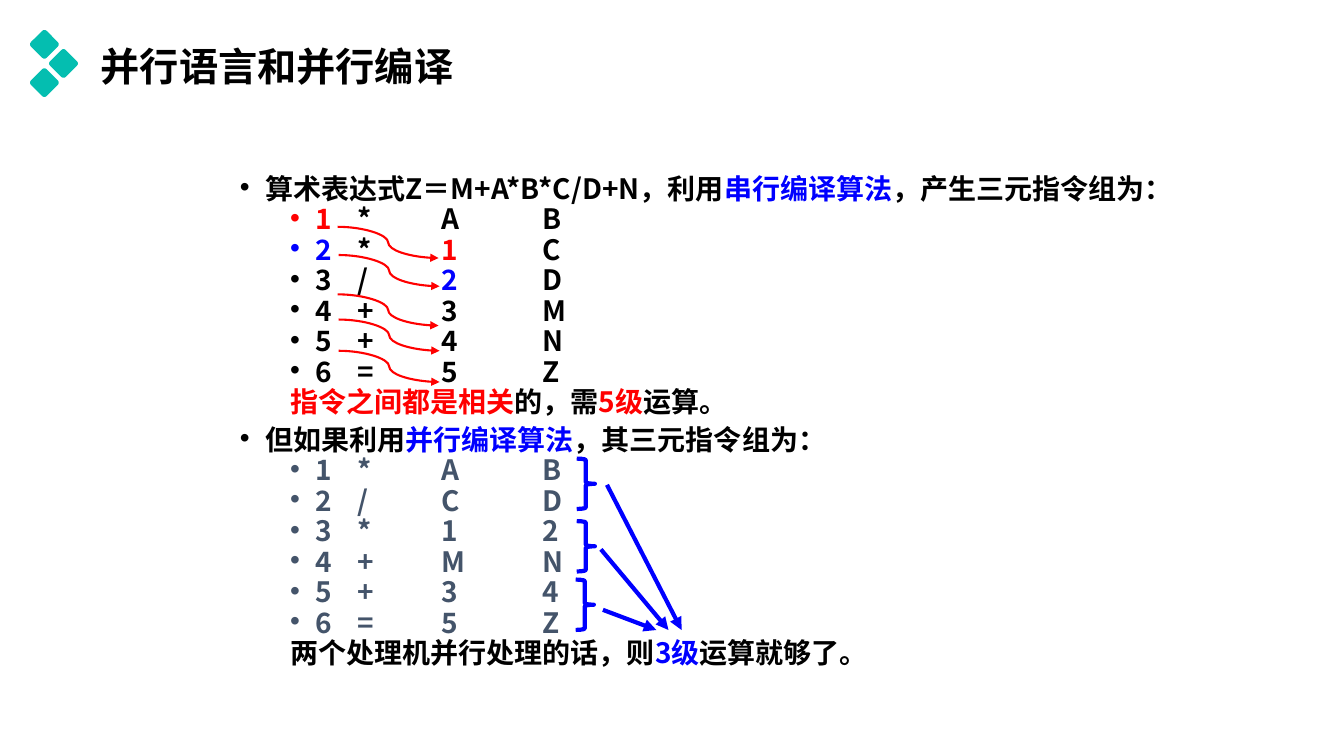
from lxml import etree
from pptx import Presentation
from pptx.dml.color import RGBColor
from pptx.enum.shapes import MSO_CONNECTOR, MSO_SHAPE
from pptx.enum.text import MSO_ANCHOR, MSO_AUTO_SIZE, PP_ALIGN
from pptx.oxml.ns import qn
from pptx.util import Inches, Pt

CURVE, STRAIGHT = MSO_CONNECTOR.CURVE, MSO_CONNECTOR.STRAIGHT
BRACE, ROUNDED = MSO_SHAPE.RIGHT_BRACE, MSO_SHAPE.ROUNDED_RECTANGLE
MIDDLE, LEFT = MSO_ANCHOR.MIDDLE, PP_ALIGN.LEFT
NO_AUTOFIT = MSO_AUTO_SIZE.NONE

BLACK = RGBColor(0x00, 0x00, 0x00)
RED = RGBColor(0xFF, 0x00, 0x00)
BLUE = RGBColor(0x00, 0x00, 0xFF)
SLATE = RGBColor(0x44, 0x54, 0x6A)
TEAL = RGBColor(0x04, 0xBE, 0xB0)
FONT = "Noto Sans CJK SC"

COLUMN_TABS = (1.17, 2, 3)  # operator, first operand, second operand
LINE_SPACING = 0.7
HEADING_GAP, ROW_GAP = 10, 5

# Each instruction: number, operator and two operands; pairs carry a colour
SERIAL_ROWS = [
    [("1", RED), "*", "A", "B"],
    [("2", BLUE), "*", ("1", RED), "C"],
    ["3", "/", ("2", BLUE), "D"],
    ["4", "+", "3", "M"],
    ["5", "+", "4", "N"],
    ["6", "=", "5", "Z"],
]
PARALLEL_ROWS = ["1*AB", "2/CD", "3*12", "4+MN", "5+34", "6=5Z"]


def add_run(paragraph, text, color, size=20):
    run = paragraph.add_run()
    run.text = text
    run.font.name = FONT
    run.font.size = Pt(size)
    run.font.bold = True
    run.font.color.rgb = color
    east_asian = etree.SubElement(run.font._element, qn("a:ea"))
    east_asian.set("typeface", FONT)


def add_paragraph(frame, runs, level=0, bullet=True, tabs=()):
    first = not frame.paragraphs[0].runs
    paragraph = frame.paragraphs[0] if first else frame.add_paragraph()
    paragraph.level = level
    paragraph.alignment = LEFT
    properties = paragraph._p.get_or_add_pPr()
    properties.set("marL", str(Inches(0.75 if level else 0.25)))
    properties.set("indent", str(Inches(-0.25)))
    if bullet:
        etree.SubElement(properties, qn("a:buFont")).set("typeface", "Arial")
        etree.SubElement(properties, qn("a:buChar")).set("char", "•")
    else:
        etree.SubElement(properties, qn("a:buNone"))
    if tabs:
        tab_list = etree.SubElement(properties, qn("a:tabLst"))
        for position in tabs:
            tab = etree.SubElement(tab_list, qn("a:tab"))
            tab.set("pos", str(Inches(position)))
            tab.set("algn", "l")
    paragraph.line_spacing = LINE_SPACING
    if not first:
        paragraph.space_before = Pt(ROW_GAP if level else HEADING_GAP)
    for text, color in runs:
        add_run(paragraph, text, color)


def add_instructions(frame, rows, color):
    for row in rows:
        runs = []
        for index, cell in enumerate(row):
            text, cell_color = cell if isinstance(cell, tuple) else (cell, color)
            if index:
                runs.append(("\t", color))
            runs.append((text, cell_color))
        add_paragraph(frame, runs, level=1, tabs=COLUMN_TABS)


def add_arrow(slide, kind, start, end, color, width):
    points = [Inches(value) for value in (*start, *end)]
    arrow = slide.shapes.add_connector(kind, *points)
    arrow.line.color.rgb = color
    arrow.line.width = Pt(width)
    head = etree.SubElement(arrow.line._get_or_add_ln(), qn("a:tailEnd"))
    head.set("type", "triangle")
    etree.SubElement(arrow._element.spPr, qn("a:effectLst"))


def add_title(slide, left, top, width, height):
    title = slide.shapes.title
    title.left, title.top = Inches(left), Inches(top)
    title.width, title.height = Inches(width), Inches(height)
    frame = title.text_frame
    frame.vertical_anchor = MIDDLE
    paragraph = frame.paragraphs[0]
    paragraph.alignment = LEFT
    paragraph.line_spacing = 0.9
    add_run(paragraph, "并行语言和并行编译", BLACK, 28)


def add_diamonds(slide, left, top, step):
    side = 0.22
    for column, row in ((0, 0), (1, 1), (0, 2)):
        diamond = slide.shapes.add_shape(
            ROUNDED, Inches(left + column * step), Inches(top + row * step),
            Inches(side), Inches(side))
        diamond.rotation = 45
        diamond.adjustments[0] = 0.14
        diamond.shadow.inherit = False
        diamond.fill.solid()
        diamond.fill.fore_color.rgb = TEAL
        diamond.line.fill.background()


def add_body(slide, left, top, width, height):
    box = slide.shapes.add_textbox(
        Inches(left), Inches(top), Inches(width), Inches(height))
    frame = box.text_frame
    frame.word_wrap = True
    frame.auto_size = NO_AUTOFIT

    # Serial compilation
    add_paragraph(frame, [("算术表达式Z＝M+A*B*C/D+N，利用", BLACK),
                          ("串行编译算法", BLUE), ("，产生三元指令组为：", BLACK)])
    add_instructions(frame, SERIAL_ROWS, BLACK)
    add_paragraph(frame, [("指令之间都是相关", RED), ("的，需", BLACK),
                          ("5级", RED), ("运算。", BLACK)], level=1, bullet=False)

    # Parallel compilation
    add_paragraph(frame, [("但如果利用", BLACK), ("并行编译算法", BLUE),
                          ("，其三元指令组为：", BLACK)])
    add_instructions(frame, PARALLEL_ROWS, SLATE)
    add_paragraph(frame, [("两个处理机并行处理的话，则", BLACK), ("3级", BLUE),
                          ("运算就够了。", BLACK)], level=1, bullet=False)


def add_dependencies(slide, left, top):
    """Curved arrows from each result to the row that uses it."""
    for x, y in ((0, 0), (0.01, 0.28), (0, 0.67), (0.01, 0.92), (0.01, 1.23)):
        start = (left + x, top + y)
        add_arrow(slide, CURVE, start, (start[0] + 1, start[1] + 0.31), RED, 1.5)


def add_parallel_levels(slide, left, top):
    """Braces pair the rows; arrows lead to the number of levels."""
    for x, y in ((0.01, 0), (0.01, 0.62), (0, 1.2)):
        brace = slide.shapes.add_shape(
            BRACE, Inches(left + x), Inches(top + y), Inches(0.18), Inches(0.5))
        brace.shadow.inherit = False
        brace.fill.background()
        brace.line.color.rgb = BLUE
        brace.line.width = Pt(3)
    for x, y, end_x in ((0.31, 0.26, 1.05), (0.25, 0.9, 0.92), (0.27, 1.5, 0.8)):
        add_arrow(slide, STRAIGHT, (left + x, top + y),
                  (left + end_x, top + 1.7), BLUE, 3)


def main():
    presentation = Presentation()
    presentation.slide_width = Inches(13.33)
    presentation.slide_height = Inches(7.5)
    slide = presentation.slides.add_slide(presentation.slide_layouts[5])
    add_body(slide, 2.28, 1.74, 9.61, 5.41)
    add_title(slide, 0.9, -0.04, 11.5, 1.45)
    add_parallel_levels(slide, 5.71, 4.55)
    add_dependencies(slide, 3.35, 2.25)
    add_diamonds(slide, 0.33, 0.33, 0.19)
    presentation.save("out.pptx")


if __name__ == "__main__":
    main()
